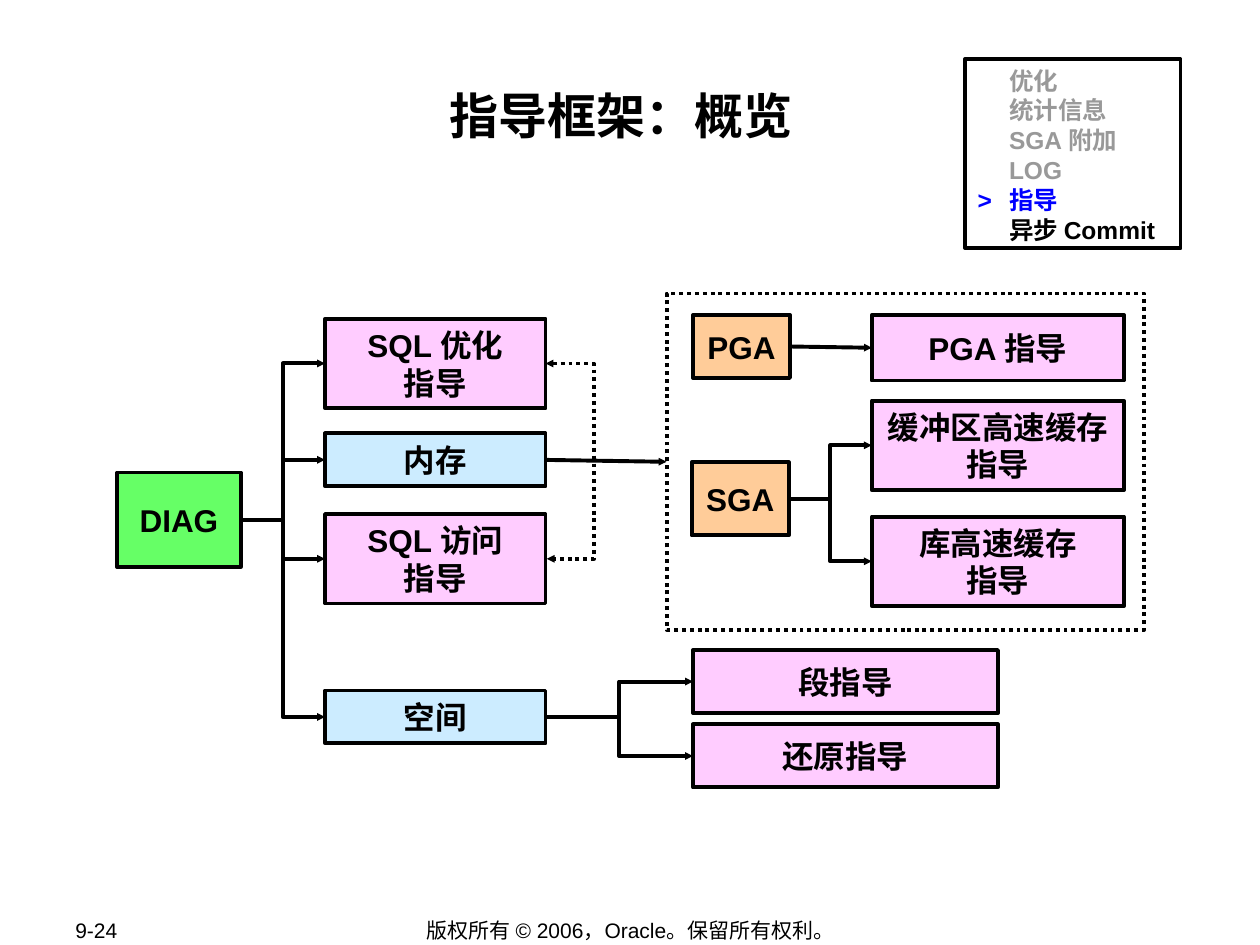
"""Build the advisory framework overview slide."""
from dataclasses import dataclass

from lxml.etree import SubElement
from pptx import Presentation
from pptx.dml.color import RGBColor
from pptx.enum.dml import MSO_LINE
from pptx.enum.shapes import MSO_CONNECTOR, MSO_SHAPE
from pptx.enum.text import MSO_ANCHOR, PP_ALIGN
from pptx.oxml.ns import qn
from pptx.util import Inches, Pt

BLACK = RGBColor(0x00, 0x00, 0x00)
GREY = RGBColor(0x99, 0x99, 0x99)
BLUE = RGBColor(0x00, 0x00, 0xFF)
GREEN = RGBColor(0x66, 0xFF, 0x66)
PINK = RGBColor(0xFF, 0xCC, 0xFF)
SKY = RGBColor(0xCC, 0xEC, 0xFF)
PEACH = RGBColor(0xFF, 0xCC, 0x99)
LINE_WIDTH = Pt(2.25)
CELL = Inches(0.1)
RIGHT, LEFT = 3, 1


@dataclass(frozen=True)
class Box:
    """A rectangle measured in grid columns and rows."""
    text: str
    col: float
    row: float
    cols: float
    rows: float
    fill: RGBColor | None = None
    dotted: bool = False


@dataclass(frozen=True)
class Link:
    """An arrow from the right side of one box to the left side of another."""
    start: str
    end: str
    bent: bool = True


@dataclass(frozen=True)
class Topic:
    """One line of the agenda."""
    text: str
    color: RGBColor


BOXES = {
    "frame": Box("", 52.9, 23.3, 37.9, 26.7, dotted=True),
    "diagnosis": Box("DIAG", 9.3, 37.5, 9.8, 7.5, GREEN),
    "tuning": Box("SQL 优化\v指导", 25.8, 25.3, 17.5, 7.1, PINK),
    "memory": Box("内存", 25.8, 34.4, 17.5, 4.2, SKY),
    "access": Box("SQL 访问\v指导", 25.8, 40.8, 17.5, 7.1, PINK),
    "space": Box("空间", 25.8, 54.8, 17.5, 4.2, SKY),
    "pga": Box("PGA", 55, 25, 7.7, 5, PEACH),
    "sga": Box("SGA", 54.9, 36.7, 7.7, 5.8, PEACH),
    "pga advisor": Box("PGA 指导", 69.2, 25, 20, 5.2, PINK),
    "buffer cache": Box("缓冲区高速缓存指导", 69.2, 31.8, 20, 7.1, PINK),
    "library cache": Box("库高速缓存\v指导", 69.2, 41, 20, 7.1, PINK),
    "segment": Box("段指导", 55, 51.6, 24.2, 5, PINK),
    "undo": Box("还原指导", 55, 57.5, 24.2, 5, PINK),
}
LINKS = [
    *(Link("diagnosis", advisor) for advisor in ("tuning", "memory", "access", "space")),
    *(Link("sga", cache) for cache in ("buffer cache", "library cache")),
    *(Link("space", advisor) for advisor in ("segment", "undo")),
    Link("memory", "frame", bent=False),
    Link("pga", "pga advisor", bent=False),
]
AGENDA = Box("", 76.6, 4.7, 17.1, 15)
TOPICS = [
    Topic("\t优化", GREY),
    Topic("\t统计信息", GREY),
    Topic("\tSGA 附加", GREY),
    Topic("\tLOG", GREY),
    Topic(">\t指导", BLUE),
    Topic("\t异步 Commit", BLACK),
]
FOOTERS = [
    (Box("9-24", 5, 72.8, 10.6, 2), PP_ALIGN.LEFT),
    (Box("版权所有 © 2006，Oracle。保留所有权利。", 27.6, 72.8, 44.9, 2.1), PP_ALIGN.CENTER),
]


def place(box: Box) -> tuple[int, ...]:
    """Return left, top, width and height of a box."""
    return tuple(round(n * CELL) for n in (box.col, box.row, box.cols, box.rows))


def style_text(paragraph, size: float, pitch: float, align=PP_ALIGN.CENTER,
               color: RGBColor = BLACK, bold: bool = True) -> None:
    """Set the alignment, line pitch and font of a paragraph."""
    paragraph.alignment = align
    paragraph.line_spacing = Pt(pitch)
    paragraph.space_before = Pt(0)
    font = paragraph.font
    font.size, font.bold, font.name = Pt(size), bold, "Arial"
    font.color.rgb = color
    defaults = paragraph._p.pPr.find(qn("a:defRPr"))
    SubElement(defaults, qn("a:ea")).set("typeface", "Noto Sans CJK SC")


def draw_box(slide, box: Box):
    """Draw an outlined rectangle with centred text."""
    rectangle = slide.shapes.add_shape(MSO_SHAPE.RECTANGLE, *place(box))
    rectangle.shadow.inherit = False
    if box.fill is None:
        rectangle.fill.background()
    else:
        rectangle.fill.solid()
        rectangle.fill.fore_color.rgb = box.fill
    rectangle.line.color.rgb = BLACK
    rectangle.line.width = LINE_WIDTH
    if box.dotted:
        rectangle.line.dash_style = MSO_LINE.ROUND_DOT
    if box.text:
        rectangle.text_frame.text = box.text
        rectangle.text_frame.vertical_anchor = MSO_ANCHOR.MIDDLE
        style_text(rectangle.text_frame.paragraphs[0], 18, 21.6)
    return rectangle


def draw_arrow(slide, kind, start: tuple[int, int], end: tuple[int, int],
               ends: tuple[str, ...] = ("tailEnd",), dotted: bool = False):
    """Draw a black connector with small arrowheads."""
    arrow = slide.shapes.add_connector(kind, *start, *end)
    arrow.line.color.rgb = BLACK
    arrow.line.width = LINE_WIDTH
    if dotted:
        arrow.line.dash_style = MSO_LINE.ROUND_DOT
    outline = arrow.line._get_or_add_ln()
    for side in ends:
        head = SubElement(outline, qn(f"a:{side}"))
        for key, value in (("type", "triangle"), ("w", "sm"), ("len", "sm")):
            head.set(key, value)
    SubElement(arrow._element.spPr, qn("a:effectLst"))
    return arrow


def side_middle(shape, site: int) -> tuple[int, int]:
    """Return the middle of the left or right side of a shape."""
    x = shape.left + (shape.width if site == RIGHT else 0)
    return x, shape.top + shape.height // 2


def draw_link(slide, link: Link, shapes: dict) -> None:
    """Draw the arrow of a link, joined to both boxes when straight."""
    start, end = shapes[link.start], shapes[link.end]
    kind = MSO_CONNECTOR.ELBOW if link.bent else MSO_CONNECTOR.STRAIGHT
    arrow = draw_arrow(slide, kind, side_middle(start, RIGHT), side_middle(end, LEFT))
    if not link.bent:
        arrow.begin_connect(start, RIGHT)
        arrow.end_connect(end, LEFT)


def draw_exchange(slide, upper, lower) -> None:
    """Draw the dotted two-way arrow that bulges out to the right of two boxes."""
    x, y = side_middle(lower, RIGHT)
    arrow = draw_arrow(slide, MSO_CONNECTOR.ELBOW, side_middle(upper, RIGHT),
                       (x + Inches(0.01), y), ("headEnd", "tailEnd"), dotted=True)
    adjustments = arrow._element.spPr.find(qn("a:prstGeom")).get_or_add_avLst()
    bulge = SubElement(adjustments, qn("a:gd"))
    bulge.set("name", "adj1")
    bulge.set("fmla", "val 3900000")


def draw_agenda(slide) -> None:
    """Draw the agenda with the current topic marked."""
    frame = draw_box(slide, AGENDA).text_frame
    frame.word_wrap = False
    frame.vertical_anchor = MSO_ANCHOR.TOP
    for index, topic in enumerate(TOPICS):
        line = frame.add_paragraph() if index else frame.paragraphs[0]
        line.text = topic.text
        tabs = SubElement(line._p.get_or_add_pPr(), qn("a:tabLst"))
        stop = SubElement(tabs, qn("a:tab"))
        stop.set("pos", str(Inches(0.25)))
        stop.set("algn", "l")
        style_text(line, 14, 17, PP_ALIGN.LEFT, topic.color)


def draw_footer(slide, box: Box, align) -> None:
    """Draw one small text at the foot of the slide."""
    frame = slide.shapes.add_textbox(*place(box)).text_frame
    frame.word_wrap = True
    frame.vertical_anchor = MSO_ANCHOR.MIDDLE
    frame.text = box.text
    style_text(frame.paragraphs[0], 12, 14.4, align, bold=False)


def main() -> None:
    """Build and save the slide."""
    deck = Presentation()
    deck.slide_width, deck.slide_height = Inches(10), Inches(7.5)
    slide = deck.slides.add_slide(deck.slide_layouts[5])
    title = slide.shapes.title
    title.left, title.top, title.width, title.height = place(Box("", 9.3, 5.8, 80, 9.6))
    title.text_frame.text = "指导框架：概览"
    title.text_frame.vertical_anchor = MSO_ANCHOR.TOP
    title.text_frame.margin_top = Inches(0.01)
    style_text(title.text_frame.paragraphs[0], 28, 40)
    shapes = {name: draw_box(slide, box) for name, box in BOXES.items()}
    for link in LINKS:
        draw_link(slide, link, shapes)
    draw_exchange(slide, shapes["tuning"], shapes["access"])
    draw_agenda(slide)
    for box, align in FOOTERS:
        draw_footer(slide, box, align)
    deck.save("out.pptx")


if __name__ == "__main__":
    main()
